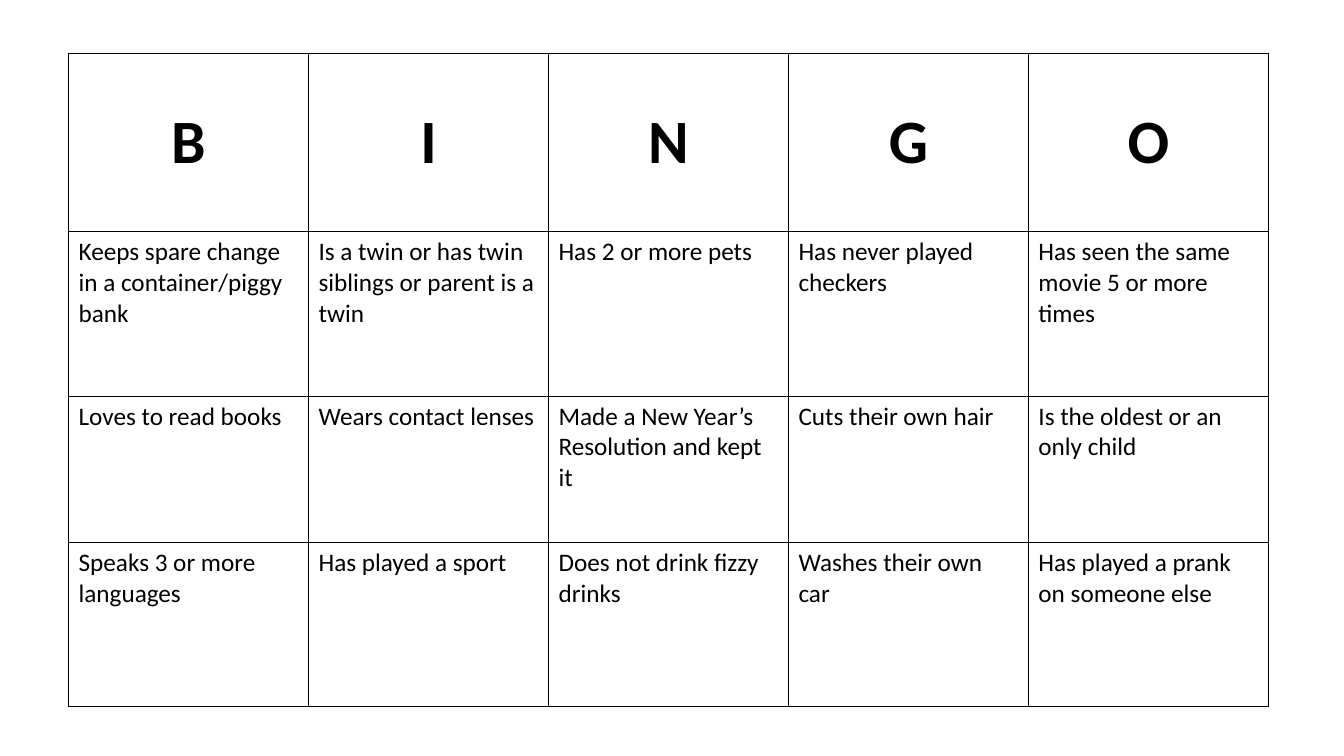
from lxml import etree
from pptx import Presentation
from pptx.dml.color import RGBColor
from pptx.enum.text import MSO_ANCHOR as Anchor, PP_ALIGN as Align
from pptx.oxml.ns import qn
from pptx.util import Inches, Pt

COLORS = {"ink": "000000"}
FONT = "Calibri"

COLUMN_WIDTH = 2.38
ROW_HEIGHTS = [1.77, 1.63, 1.45, 1.63]
LETTERS = list("BINGO")
PROMPTS = [
    ["Keeps spare change in a container/piggy bank",
     "Is a twin or has twin siblings or parent is a twin",
     "Has 2 or more pets",
     "Has never played checkers",
     "Has seen the same movie 5 or more times"],
    ["Loves to read books",
     "Wears contact lenses",
     "Made a New Year’s Resolution and kept it",
     "Cuts their own hair",
     "Is the oldest or an only child"],
    ["Speaks 3 or more languages",
     "Has played a sport",
     "Does not drink fizzy drinks",
     "Washes their own car",
     "Has played a prank on someone else"],
]


def add_borders(cell, width=Pt(1)):
    """Draw a thin line on all four sides of a cell."""
    properties = cell._tc.get_or_add_tcPr()
    for side in ("lnL", "lnR", "lnT", "lnB"):
        line = etree.SubElement(properties, qn(f"a:{side}"), w=str(width))
        fill = etree.SubElement(line, qn("a:solidFill"))
        etree.SubElement(fill, qn("a:srgbClr"), val=COLORS["ink"])


def fill_square(cell, wording, size, bold, align, anchor):
    """Write and format one square of the card."""
    add_borders(cell)
    cell.fill.background()
    cell.vertical_anchor = anchor
    cell.text_frame.text = wording
    paragraph = cell.text_frame.paragraphs[0]
    paragraph.alignment = align
    font = paragraph.runs[0].font
    font.name = FONT
    font.size = Pt(size)
    font.bold = bold
    font.color.rgb = RGBColor.from_string(COLORS["ink"])


def add_card(slide, left, top):
    """Add the empty bingo grid."""
    card = slide.shapes.add_table(
        len(ROW_HEIGHTS), len(LETTERS), Inches(left), Inches(top),
        Inches(COLUMN_WIDTH * len(LETTERS)), Inches(sum(ROW_HEIGHTS))).table
    card.first_row = False
    card.horz_banding = False
    for column in card.columns:
        column.width = Inches(COLUMN_WIDTH)
    for row, height in zip(card.rows, ROW_HEIGHTS):
        row.height = Inches(height)
    return card


def main():
    deck = Presentation()
    deck.slide_width, deck.slide_height = Inches(13.33), Inches(7.5)
    slide = deck.slides.add_slide(deck.slide_layouts[6])
    card = add_card(slide, 0.68, 0.53)

    # Heading letters
    for col, letter in enumerate(LETTERS):
        fill_square(card.cell(0, col), letter, 44, True, Align.CENTER, Anchor.MIDDLE)

    # Prompts
    for row, prompts in enumerate(PROMPTS, start=1):
        for col, prompt in enumerate(prompts):
            fill_square(card.cell(row, col), prompt, 18, False, Align.LEFT, Anchor.TOP)

    deck.save("out.pptx")


if __name__ == "__main__":
    main()
